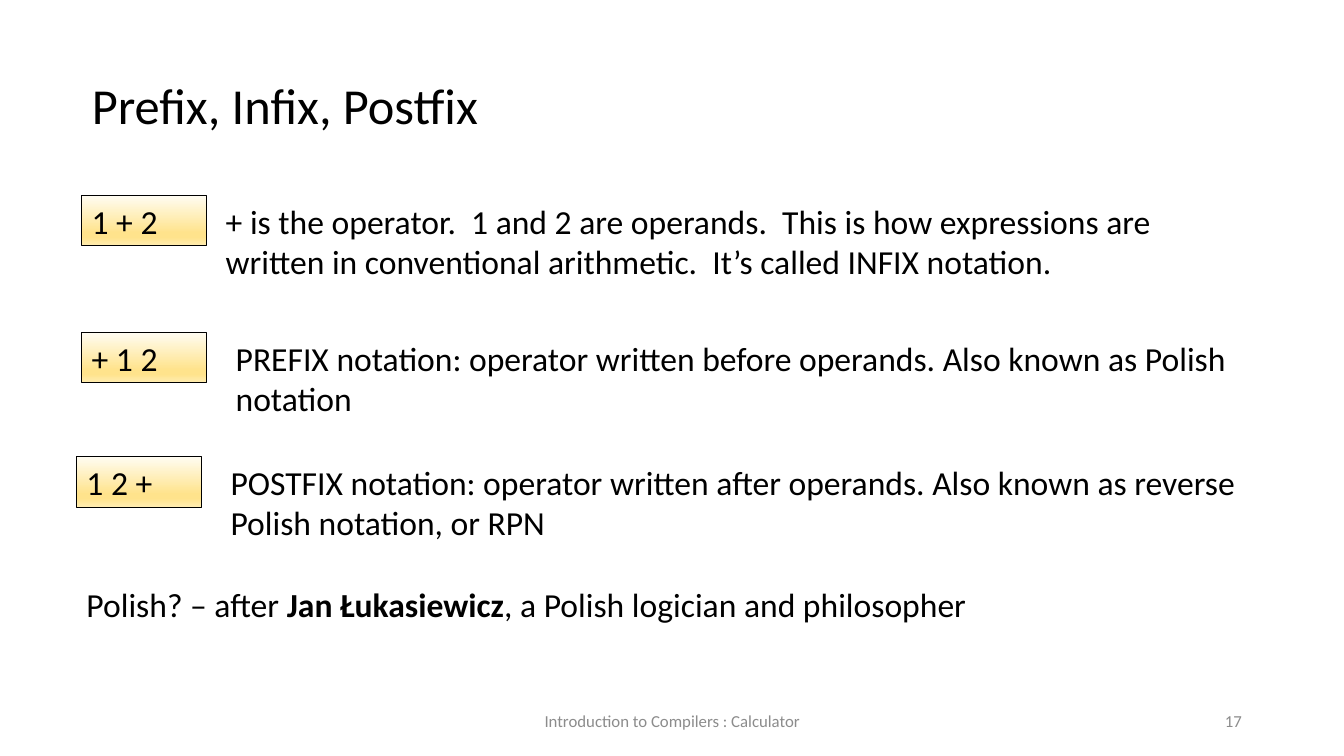
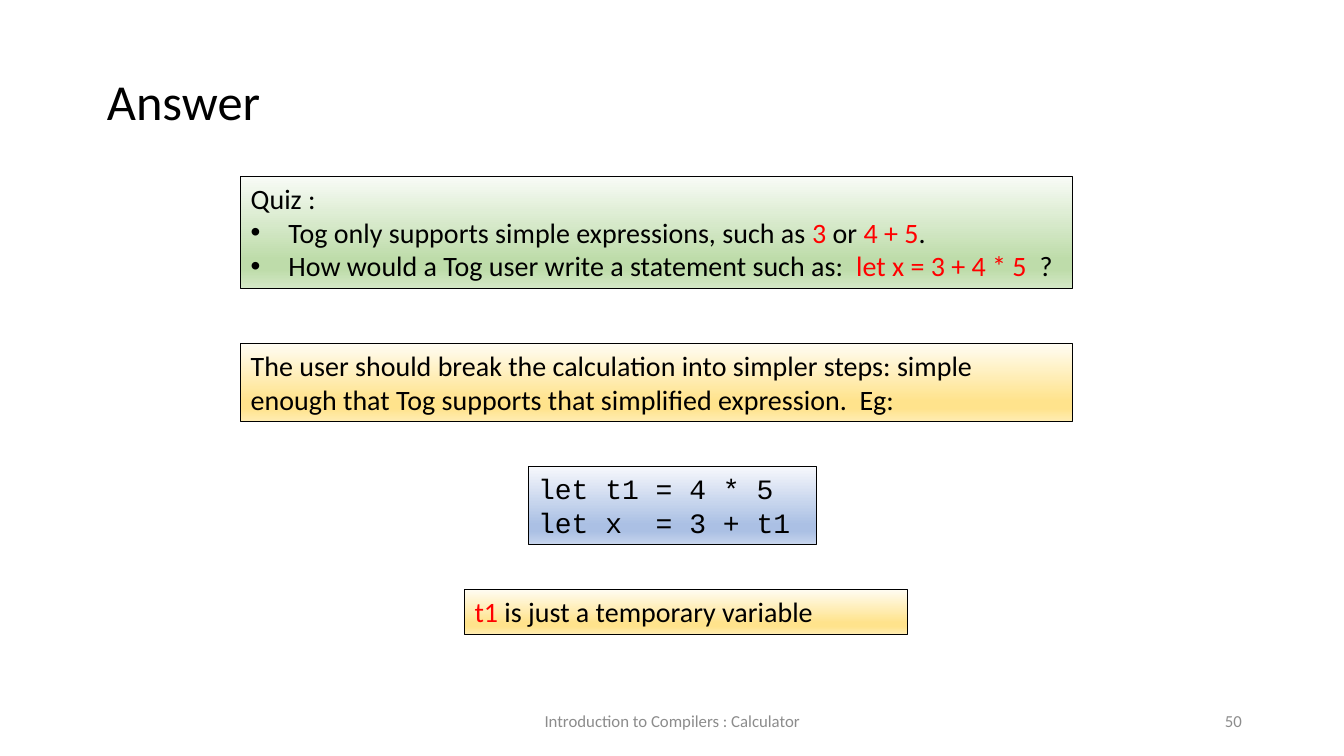
import dataclasses

import lxml.etree
import pptx
import pptx.dml.color
import pptx.enum.shapes
import pptx.enum.text
import pptx.oxml.ns
import pptx.util

Cm = pptx.util.Cm
Align = pptx.enum.text.PP_ALIGN
Anchor = pptx.enum.text.MSO_ANCHOR
qn = pptx.oxml.ns.qn


@dataclasses.dataclass(frozen=True)
class Theme:
    """Colours, fonts and type sizes of the deck."""
    body_font: str = "Calibri"
    code_font: str = "Courier New"
    ink: str = "000000"
    accent: str = "FF0000"
    muted: str = "8C8C8C"
    # Gradient colours: top, band, bottom
    yellow: tuple = ("FFFCF2", "FFE38C", "FFECB2")
    green: tuple = ("F8FBF6", "BEDCAA", "D4E8C6")
    blue: tuple = ("F6F8FC", "ABC0E4", "C7D5ED")
    title_size: int = 36
    large_size: int = 24
    text_size: int = 20
    footer_size: int = 12
    outline: float = 0.75


def rgb(code):
    """Turn a hex code into a colour."""
    return pptx.dml.color.RGBColor.from_string(code)


class Deck:
    """Holds the presentation, its style and the current slide."""

    def __init__(self, theme, footer):
        """Start an empty widescreen presentation."""
        self.theme = theme
        self.footer = footer
        self.slide = None
        self.presentation = pptx.Presentation()
        self.presentation.slide_width = Cm(33.87)
        self.presentation.slide_height = Cm(19.05)

    def add_slide(self, title, left, top, number):
        """Add a slide with its title, footer and number."""
        layout = self.presentation.slide_layouts.get_by_name("Title Only")
        self.slide = self.presentation.slides.add_slide(layout)
        heading = self.slide.shapes.title
        heading.left, heading.top = Cm(left), Cm(top)
        heading.width, heading.height = Cm(29), Cm(1.8)
        self.set_text(heading, [title], self.theme.title_size)
        grey = dict(color=self.theme.muted, anchor=Anchor.MIDDLE)
        self.text((11.23, 17.65, 11.43, 1.02), [self.footer],
                  self.theme.footer_size, align=Align.CENTER, **grey)
        self.text((23.93, 17.65, 7.62, 1.02), [str(number)],
                  self.theme.footer_size, align=Align.RIGHT, **grey)

    def set_text(self, holder, paragraphs, size, font=None, color=None,
                 align=Align.LEFT, anchor=Anchor.TOP):
        """Fill a shape; a paragraph is a string or a list of (text, style)."""
        frame = holder.text_frame
        frame.word_wrap = True
        frame.auto_size = pptx.enum.text.MSO_AUTO_SIZE.NONE
        frame.vertical_anchor = anchor
        for index, content in enumerate(paragraphs):
            paragraph = frame.add_paragraph() if index else frame.paragraphs[0]
            paragraph.alignment = align
            pieces = [(content, "")] if isinstance(content, str) else content
            for words, style in pieces:
                run = paragraph.add_run()
                run.text = words
                run.font.name = font or self.theme.body_font
                run.font.size = pptx.util.Pt(size)
                run.font.bold = style == "strong"
                run.font.color.rgb = rgb(
                    self.theme.accent if style == "accent"
                    else color or self.theme.ink)

    def text(self, place, paragraphs, size, **style):
        """Add a plain text box."""
        box = self.slide.shapes.add_textbox(*map(Cm, place))
        self.set_text(box, paragraphs, size, **style)

    def panel(self, place, paragraphs, size, shades, **style):
        """Add an outlined box with a vertical gradient; return it."""
        box = self.slide.shapes.add_shape(
            pptx.enum.shapes.MSO_SHAPE.RECTANGLE, *map(Cm, place))
        box.shadow.inherit = False
        box.line.color.rgb = rgb(self.theme.ink)
        box.line.width = pptx.util.Pt(self.theme.outline)
        box.fill.gradient()
        box.fill.gradient_angle = 270
        stops = next(box.element.iter(qn("a:gsLst")))
        for stop in list(stops):
            stops.remove(stop)
        light, band, edge = shades
        for percent, shade in ((0, light), (74, band), (83, band), (100, edge)):
            stop = lxml.etree.SubElement(
                stops, qn("a:gs"), pos=str(percent * 1000))
            lxml.etree.SubElement(stop, qn("a:srgbClr"), val=shade)
        self.set_text(box, paragraphs, size, **style)
        return box

    def bullet(self, paragraph):
        """Give a paragraph a hanging round bullet."""
        indent = Cm(0.95)
        properties = paragraph._p.get_or_add_pPr()
        properties.set("marL", str(indent))
        properties.set("indent", str(-indent))
        lxml.etree.SubElement(properties, qn("a:buFont"), typeface="Arial")
        lxml.etree.SubElement(properties, qn("a:buChar"), char="•")


def build_notations(deck):
    """Explain the three notations."""
    theme = deck.theme
    deck.add_slide("Prefix, Infix, Postfix", 2.06, 1.75, 17)
    notations = [
        ("1 + 2", 2.06, 4.93, 5.44, 25.4,
         "+ is the operator.  1 and 2 are operands.  This is how expressions "
         "are written in conventional arithmetic.  It’s called INFIX notation."),
        ("+ 1 2", 2.06, 8.38, 5.69, 25.76,
         "PREFIX notation: operator written before operands. "
         "Also known as Polish notation"),
        ("1 2 +", 1.93, 11.51, 5.56, 26.57,
         "POSTFIX notation: operator written after operands. "
         "Also known as reverse Polish notation, or RPN"),
    ]
    for example, left, top, text_left, text_width, meaning in notations:
        deck.panel((left, top, 3.15, 1.27), [example],
                   theme.large_size, theme.yellow)
        deck.text((text_left, top, text_width, 2.31), [meaning],
                  theme.large_size)
    deck.text((1.93, 14.58, 26.57, 1.27),
              [[("Polish? – after ", ""), ("Jan Łukasiewicz", "strong"),
                (", a Polish logician and philosopher", "")]],
              theme.large_size)


def build_answer(deck):
    """Show the quiz and its answer."""
    theme = deck.theme
    size = theme.text_size
    deck.add_slide("Answer", 2.44, 1.65, 50)
    quiz = deck.panel((6.07, 4.45, 20.96, 2.82), [
        "Quiz :",
        [("Tog only supports simple expressions, such as ", ""),
         ("3", "accent"), (" or ", ""), ("4 + 5", "accent"), (".", "")],
        [("How would a Tog user write a statement such as:  ", ""),
         ("let x = 3 + 4 * 5", "accent"), ("  ?", "")],
    ], size, theme.green)
    for question in quiz.text_frame.paragraphs[1:]:
        deck.bullet(question)
    deck.panel((13.31, 11.76, 7.26, 1.96),
               ["let t1 = 4 * 5", "let x  = 3 + t1"],
               size, theme.blue, font=theme.code_font)
    deck.panel((6.07, 8.66, 20.96, 1.96),
               ["The user should break the calculation into simpler steps: "
                "simple enough that Tog supports that simplified expression.  "
                "Eg:"], size, theme.yellow)
    deck.panel((11.71, 14.86, 11.15, 1.12),
               [[("t1", "accent"), (" is just a temporary variable", "")]],
               size, theme.yellow)


def main():
    """Build and save the deck."""
    deck = Deck(Theme(), "Introduction to Compilers : Calculator")
    build_notations(deck)
    build_answer(deck)
    deck.presentation.save("out.pptx")


main()
